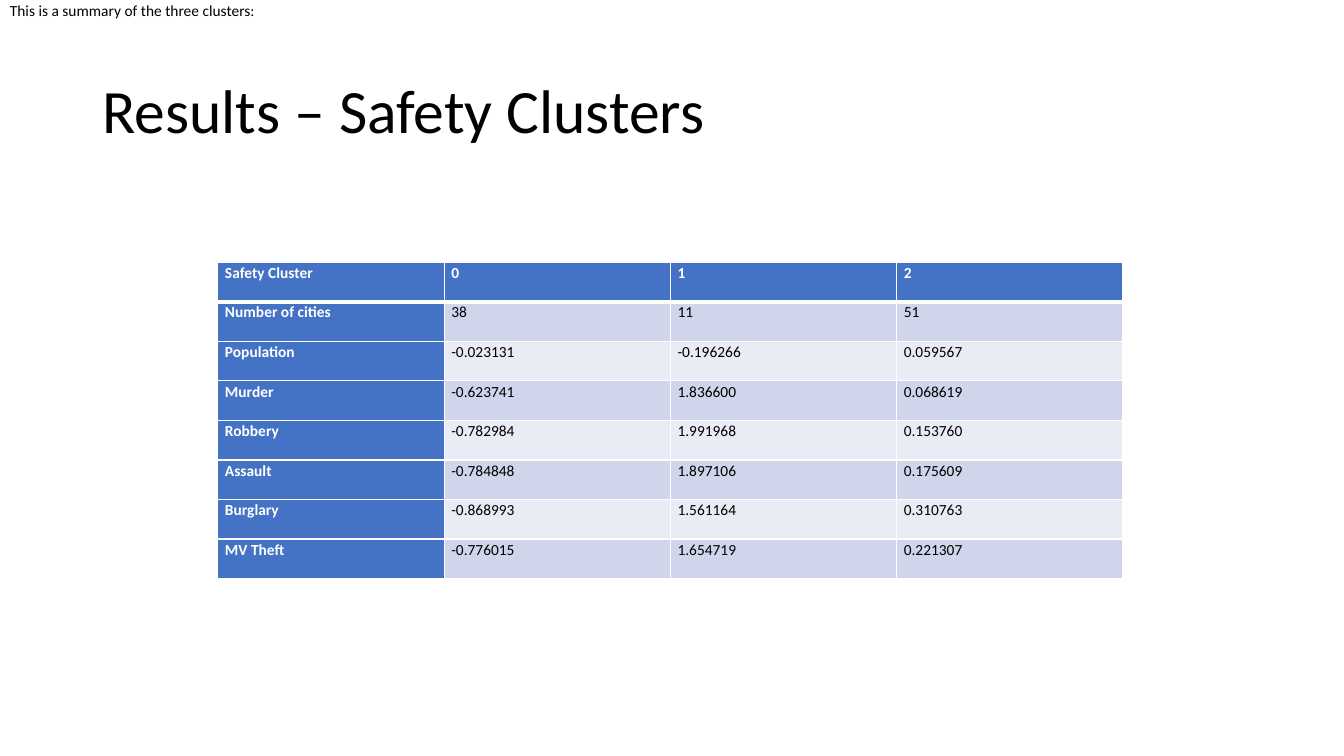
"""Build the safety clusters results slide."""
from lxml import etree
from pptx import Presentation
from pptx import util as u
from pptx.dml.color import RGBColor
from pptx.enum import text
from pptx.oxml.ns import qn

FONT = "Calibri"
COLORS = {
    "text": "000000",
    "light": "FFFFFF",
    "header": "4472C4",
    "odd": "CFD5EA",
    "even": "E9EBF5",
}
CLUSTERS = [
    ("Safety Cluster", "0", "1", "2"),
    ("Number of cities", "38", "11", "51"),
    ("Population", "-0.023131", "-0.196266", "0.059567"),
    ("Murder", "-0.623741", "1.836600", "0.068619"),
    ("Robbery", "-0.782984", "1.991968", "0.153760"),
    ("Assault", "-0.784848", "1.897106", "0.175609"),
    ("Burglary", "-0.868993", "1.561164", "0.310763"),
    ("MV Theft", "-0.776015", "1.654719", "0.221307"),
]


def add_run(p, words, size, color="text", bold=False):
    """Add one formatted run to a paragraph."""
    r = p.add_run()
    r.text = words
    r.font.name = FONT
    r.font.size = u.Pt(size)
    r.font.bold = bold
    r.font.color.rgb = RGBColor.from_string(COLORS[color])


def add_label(s, box, words, size, anchor, top=0.13, spacing=1.0):
    """Place a single-line text box in the given box."""
    tf = s.shapes.add_textbox(*(u.Cm(v) for v in box)).text_frame
    tf.word_wrap = True
    tf.vertical_anchor = anchor
    tf.margin_top = u.Cm(top)
    p = tf.paragraphs[0]
    p.line_spacing = spacing
    add_run(p, words, size)


def set_borders(cell, widths):
    """Draw the light borders of a cell, with widths in points by side."""
    tc_pr = cell._tc.get_or_add_tcPr()
    for i, (side, width) in enumerate(widths.items()):
        ln = etree.Element(qn(f"a:ln{side}"), w=str(u.Pt(width)))
        fill = etree.SubElement(ln, qn("a:solidFill"))
        etree.SubElement(fill, qn("a:srgbClr"), val=COLORS["light"])
        tc_pr.insert(i, ln)


def add_cluster_table(s, box, rows):
    """Place the cluster table, with equal rows and columns, in the given box."""
    left, top, width, height = (u.Cm(v) for v in box)
    table = s.shapes.add_table(len(rows), len(rows[0]), left, top, width, height).table
    table.first_col = True
    for i, row in enumerate(rows):
        for j, value in enumerate(row):
            heading = i == 0 or j == 0
            cell = table.cell(i, j)
            cell.margin_left = cell.margin_right = u.Cm(0.18)
            cell.margin_top = cell.margin_bottom = 0
            cell.fill.solid()
            shade = "header" if heading else "odd" if i % 2 else "even"
            cell.fill.fore_color.rgb = RGBColor.from_string(COLORS[shade])
            set_borders(cell, {"L": 1, "R": 1, "T": 3 if i == 1 else 1, "B": 3 if i == 0 else 1})
            p = cell.text_frame.paragraphs[0]
            p.line_spacing = 1.07
            add_run(p, value, 11, "light" if heading else "text", heading)


def main():
    """Assemble and save the presentation."""
    prs = Presentation()
    prs.slide_width, prs.slide_height = u.Cm(33.87), u.Cm(19.05)
    s = prs.slides.add_slide(prs.slide_layouts[6])
    add_label(s, (2.33, 1.02, 29.21, 3.68), "Results – Safety Clusters", 44,
              text.MSO_ANCHOR.MIDDLE, spacing=0.9)
    add_cluster_table(s, (5.49, 6.61, 22.81, 7.97), CLUSTERS)
    add_label(s, (0, 0, 33.87, 1.27), "This is a summary of the three clusters:", 11,
              text.MSO_ANCHOR.TOP, top=0.04)
    prs.save("out.pptx")


if __name__ == "__main__":
    main()
